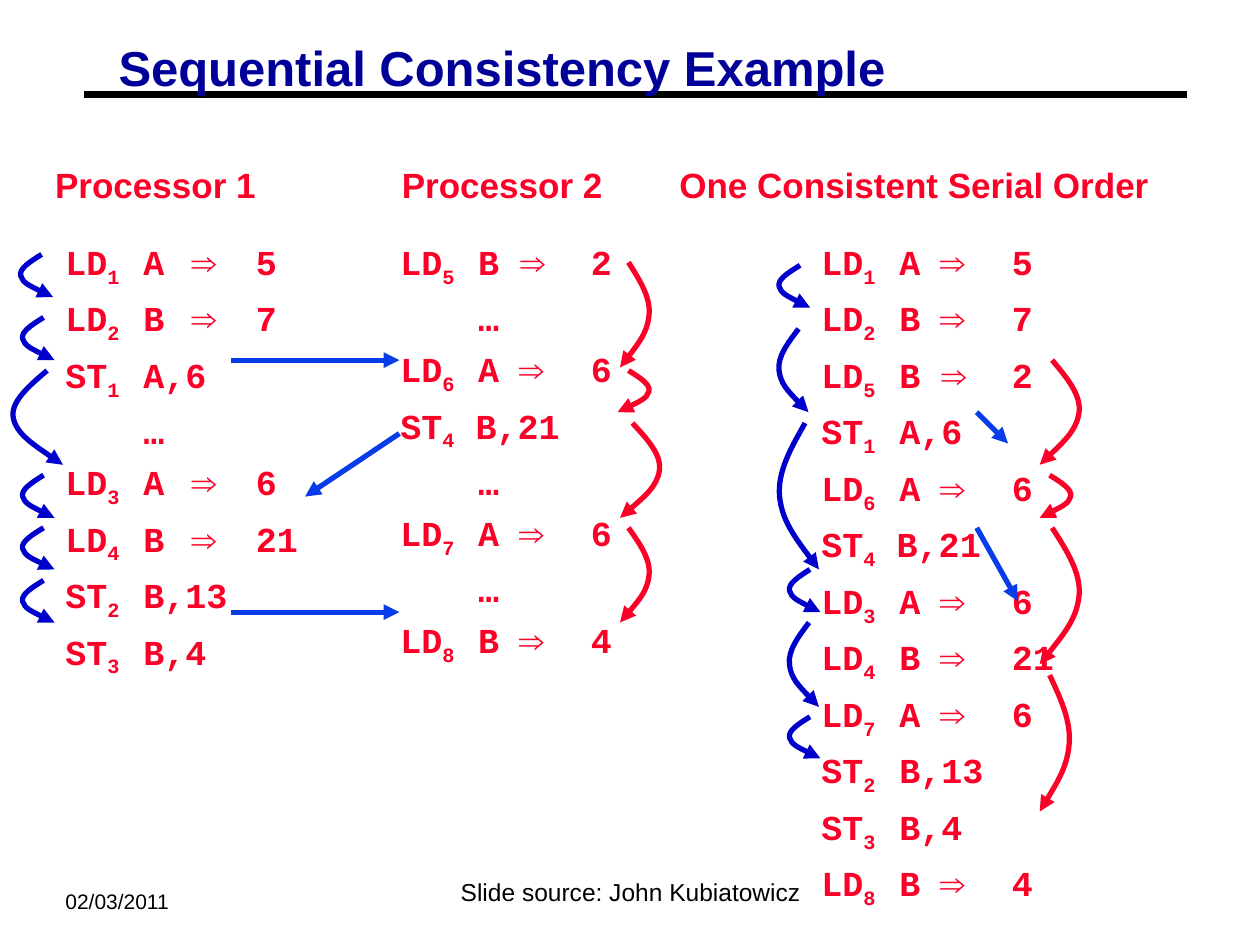
from lxml.etree import SubElement
from pptx import Presentation
from pptx.dml.color import RGBColor
from pptx.enum.shapes import MSO_CONNECTOR
from pptx.enum.text import MSO_ANCHOR, PP_ALIGN
from pptx.oxml.ns import qn
from pptx.util import Cm, Pt

BLACK = RGBColor(0x00, 0x00, 0x00)
NAVY = RGBColor(0x00, 0x00, 0x99)
RED = RGBColor(0xFC, 0x01, 0x28)
DARK_BLUE = RGBColor(0x00, 0x00, 0xCC)
BLUE = RGBColor(0x06, 0x3D, 0xE8)

# heading, left, width
HEADINGS = [
    ("Processor 1", 0.86, 4.55),
    ("Processor 2", 7.85, 4.55),
    ("One Consistent Serial Order", 13.44, 9.98),
]

# Each instruction: operation, subscript, operand, loaded value (loads only)
SKIP = ("\t…",)
PROGRAMS = [
    dict(left=1.07, width=6.78, height=10.1, arrow_tab=2.54, lines=[
        ("LD", "1\t", "A \t", "5"), ("LD", "2\t", "B\t", "7"),
        ("ST", "1\t", "A,6"), SKIP,
        ("LD", "3\t", "A\t", "6"), ("LD", "4\t", "B\t", "21"),
        ("ST", "2\t", "B,13"), ("ST", "3\t", "B,4"),
    ]),
    dict(left=7.82, width=6.78, height=9.88, arrow_tab=2.39, lines=[
        ("LD", "5\t", "B ", "2"), SKIP,
        ("LD", "6\t", "A\t", "6"), ("ST", "4", " B,21"), SKIP,
        ("LD", "7\t", "A\t", "6"), SKIP, ("LD", "8\t", "B\t", "4"),
    ]),
    dict(left=16.31, width=5.92, height=14.78, arrow_tab=2.39, lines=[
        ("LD", "1\t", "A\t", "5"), ("LD", "2\t", "B\t", "7"),
        ("LD", "5\t", "B ", "2"), ("ST", "1\t", "A,6"),
        ("LD", "6\t", "A\t", "6"), ("ST", "4", " B,21"),
        ("LD", "3\t", "A\t", "6"), ("LD", "4\t", "B\t", "21"),
        ("LD", "7\t", "A\t", "6"), ("ST", "2\t", "B,13"),
        ("ST", "3\t", "B,4"), ("LD", "8\t", "B\t", "4"),
    ]),
]

# Program order: start x, bulge x, end x, top, bottom
PROGRAM_ORDER = {
    DARK_BLUE: [
        (0.84, 0.38, 1.07, 5.13, 5.99),
        (0.88, 0.42, 1.1, 6.4, 7.26),
        (0.95, 0.21, 1.27, 7.47, 9.37),
        (0.88, 0.42, 1.1, 9.58, 10.44),
        (0.88, 0.42, 1.1, 10.64, 11.48),
        (0.88, 0.42, 1.1, 11.7, 12.55),
        (16.13, 15.67, 16.33, 5.35, 6.2),
        (16.1, 15.67, 16.3, 6.63, 8.31),
        (16.23, 15.67, 16.51, 8.53, 11.48),
        (16.33, 15.88, 16.54, 11.48, 12.34),
        (16.31, 15.88, 16.51, 12.55, 14.25),
        (16.33, 15.88, 16.54, 14.45, 15.29),
    ],
    RED: [
        (12.67, 13.12, 12.5, 5.29, 7.41),
        (12.67, 13.12, 12.45, 7.47, 8.31),
        (12.75, 13.34, 12.5, 8.53, 10.44),
        (12.67, 13.12, 12.5, 10.64, 12.55),
        (21.21, 21.8, 20.96, 7.26, 9.37),
        (21.16, 21.62, 20.96, 9.58, 10.44),
        (21.21, 21.8, 20.96, 10.64, 13.39),
        (21.16, 21.59, 20.96, 13.61, 16.36),
    ],
}

# Values passed between processors: start x, start y, end x, end y
VALUE_FLOWS = [
    (4.65, 7.26, 8.05, 7.26),
    (8.05, 8.74, 6.15, 10.01),
    (4.65, 12.34, 8.05, 12.34),
    (19.69, 8.31, 20.32, 8.94),
    (19.69, 10.64, 20.52, 12.12),
]


def style_font(font, size, color, bold=False, name="Arial"):
    font.name, font.size, font.bold = name, Pt(size), bold
    font.color.rgb = color


def add_label(slide, text, box, size, color, bold=False, align=PP_ALIGN.LEFT, wrap=True):
    frame = slide.shapes.add_textbox(*map(Cm, box)).text_frame
    frame.word_wrap = wrap
    frame.text = text
    frame.paragraphs[0].alignment = align
    style_font(frame.paragraphs[0].runs[0].font, size, color, bold)
    return frame


def add_program(slide, left, width, height, arrow_tab, lines):
    frame = slide.shapes.add_textbox(Cm(left), Cm(4.72), Cm(width), Cm(height)).text_frame
    frame.word_wrap = True
    for number, (operation, *details) in enumerate(lines):
        paragraph = frame.paragraphs[0] if number == 0 else frame.add_paragraph()
        if number:
            paragraph.space_before = Pt(5)
        tabs = SubElement(paragraph._p.get_or_add_pPr(), qn("a:tabLst"))
        for position in (1.57, arrow_tab, 3.84):
            SubElement(tabs, qn("a:tab"), pos=str(Cm(position)), algn="l")
        pieces = [operation, *details]
        if len(pieces) == 4:
            pieces.insert(3, "⇒\t")
        for place, piece in enumerate(pieces):
            run = paragraph.add_run()
            run.text = piece
            style_font(run.font, 20, RED, True, "Arial" if place == 3 else "Courier New")
            if place == 1:
                run.font._element.set("baseline", "-25000")


def style_line(line, color, width, arrow=True):
    line.color.rgb = color
    line.width = Pt(width)
    if arrow:
        SubElement(line._get_or_add_ln(), qn("a:tailEnd"), type="triangle")


def add_straight(slide, ends, color, width, arrow=True):
    connector = slide.shapes.add_connector(MSO_CONNECTOR.STRAIGHT, *map(Cm, ends))
    style_line(connector.line, color, width, arrow)
    SubElement(connector._element.spPr, qn("a:effectLst"))


def add_bow(slide, start, bulge, end, top, bottom, color):
    """Draw an arrow bowed out to bulge, as two Bezier curves."""
    drift = (end - bulge) / 18
    after = bulge + 2 * drift
    xs = [start, (start + bulge) / 2, bulge, bulge + drift, after, (after + end) / 2, end]
    points = [(Cm(x), Cm(top + (bottom - top) * i / 6)) for i, x in enumerate(xs)]
    builder = slide.shapes.build_freeform(*points[0])
    builder.add_line_segments(points[1:], close=False)
    bow = builder.convert_to_shape()
    bow.shadow.inherit = False
    bow.fill.background()
    style_line(bow.line, color, 3)
    # Turn each three line segments into one cubic curve
    segments = list(bow._element.iter(qn("a:lnTo")))
    outline = segments[0].getparent()
    for first in (0, 3):
        curve = SubElement(outline, qn("a:cubicBezTo"))
        for segment in segments[first:first + 3]:
            curve.append(segment[0])
            outline.remove(segment)


def main():
    deck = Presentation()
    deck.slide_width, deck.slide_height = Cm(25.4), Cm(19.05)
    slide = deck.slides.add_slide(deck.slide_layouts[6])

    add_straight(slide, (1.7, 1.91, 23.93, 1.91), BLACK, 3.75, arrow=False)
    add_label(slide, "02/03/2011", (1.07, 17.78, 4.88, 0.76), 12, BLACK)
    title = add_label(slide, "Sequential Consistency Example",
                      (2.21, 0.84, 21.69, 1.17), 28, NAVY, True)
    title.margin_left = title.margin_right = Cm(0.18)
    title.margin_top = title.margin_bottom = Cm(0.08)
    title.paragraphs[0].line_spacing = 0.87

    for program in PROGRAMS:
        add_program(slide, **program)
    for ends in VALUE_FLOWS:
        add_straight(slide, ends, BLUE, 3)
    for color, bows in PROGRAM_ORDER.items():
        for bow in bows:
            add_bow(slide, *bow, color)
    for heading, left, width in HEADINGS:
        add_label(slide, heading, (left, 3.18, width, 1.12), 20, RED, True,
                  PP_ALIGN.CENTER, wrap=False)
    credit = add_label(slide, "Slide source: John Kubiatowicz", (8.69, 17.35, 8.05, 1.27),
                       14, BLACK, align=PP_ALIGN.CENTER, wrap=False)
    credit.vertical_anchor = MSO_ANCHOR.MIDDLE

    deck.save("out.pptx")


if __name__ == "__main__":
    main()
